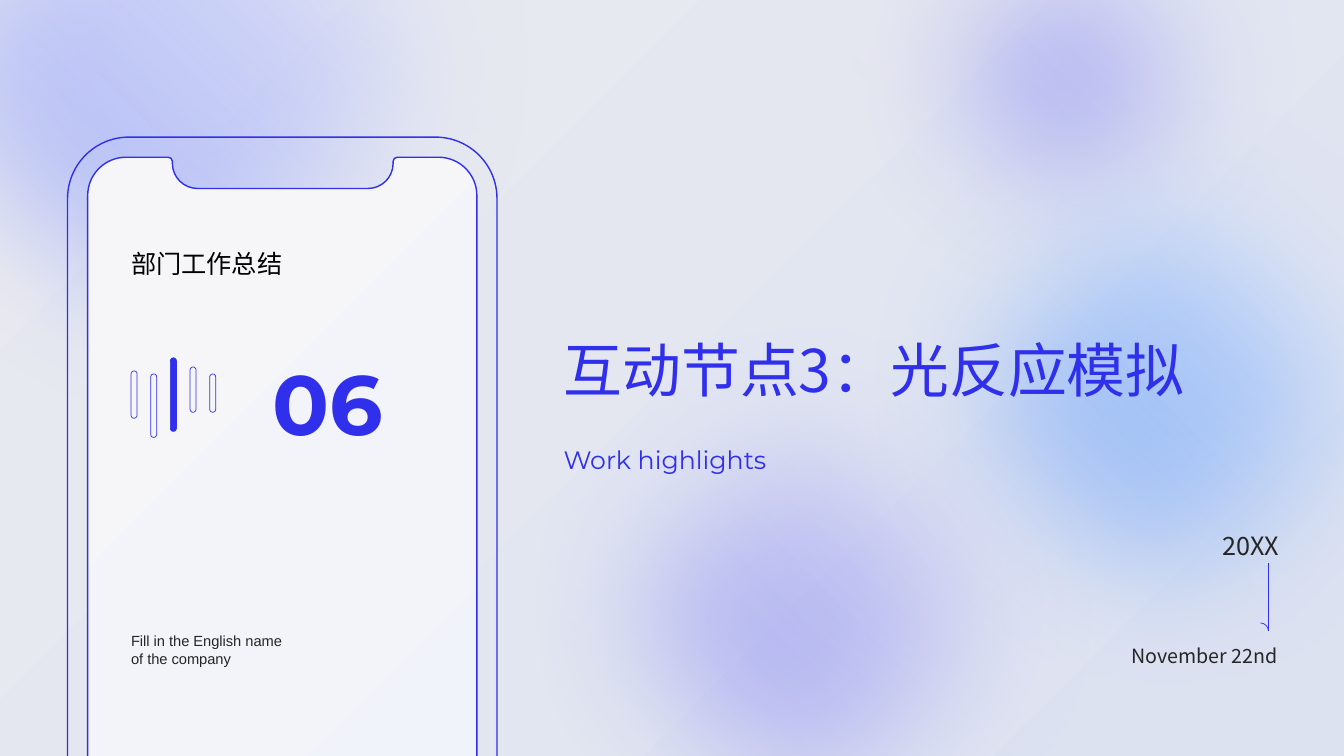
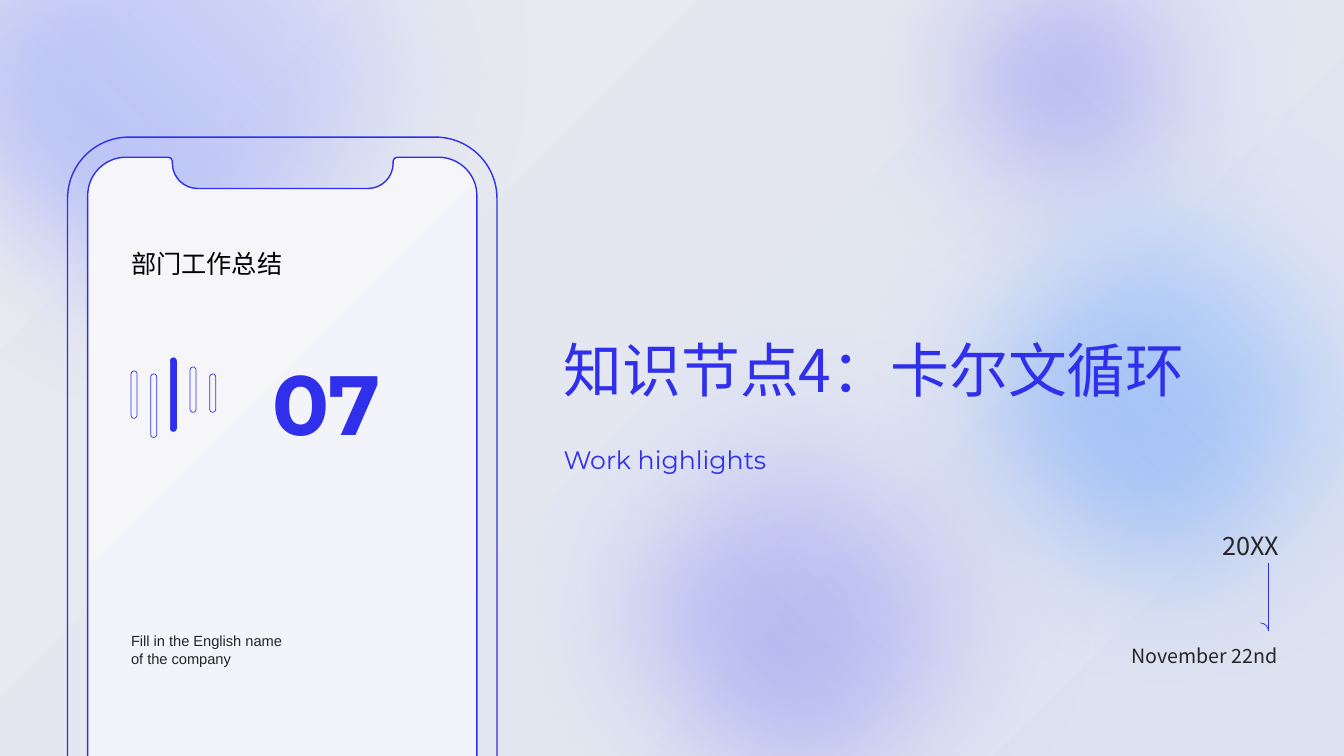
import collections
import dataclasses
import math

import pptx
import pptx.dml.color
import pptx.enum.shapes
import pptx.enum.text
import pptx.oxml
import pptx.oxml.ns
import pptx.util

ALIGN = pptx.enum.text.PP_ALIGN
ANCHOR = pptx.enum.text.MSO_ANCHOR
AUTOSIZE = pptx.enum.text.MSO_AUTO_SIZE
PRESET = pptx.enum.shapes.MSO_SHAPE

Box = collections.namedtuple("Box", "left top width height")
Glow = collections.namedtuple("Glow", "left top size stops")


@dataclasses.dataclass(frozen=True)
class Theme:
    accent: str = "2F2FEC"
    ink: str = "262626"
    black: str = "000000"
    backdrop: tuple = (("EAEBF0", 100), ("DDE2F1", 100))
    screen: tuple = (("F6F6F8", 100), ("F0F3F9", 100))
    cjk: str = "Noto Sans CJK SC"
    display: str = "Montserrat"
    body: str = "Arial"
    title_size: float = 42
    number_size: float = 60
    label_size: float = 18
    date_size: float = 14
    note_size: float = 10.5
    outline: float = 1
    hairline: float = 0.5
    soft_edge: float = 100


THEME = Theme()
SLIDE = Box(0, 0, 13.33, 7.5)
PHONE = Box(0.67, 1.36, 4.26, 8.75)
HEADING = Box(5.59, 1.94, 7, 3.82)
DATE = Box(8.77, 5.26, 3.92, 1.37)

# Colour stops are (colour, opacity in percent)
GLOWS = (
    Glow(4.71, 2.62, 6.74, (("2F2FEC", 55), ("D5D5FB", 25))),
    Glow(7.84, -2.16, 5.7, (("2F2FEC", 55), ("D5D5FB", 43))),
    Glow(8.1, 0.41, 6.94, (("6399F4", 76), ("E0EBFD", 100))),
    Glow(-2.21, -3.37, 7.94, (("8393F7", 100), ("E6E9FD", 37))),
)
SECTIONS = (
    ("06", "互动节点3：光反应模拟"),
    ("07", "知识节点4：卡尔文循环"),
)


def rgb(colour):
    return pptx.dml.color.RGBColor.from_string(colour)


def inches(*lengths):
    return [pptx.util.Inches(length) for length in lengths]


def add_child(parent, tag, **attributes):
    child = pptx.oxml.parse_xml(f"<a:{tag} {pptx.oxml.ns.nsdecls('a')}/>")
    for key, value in attributes.items():
        child.set(key, str(value))
    parent.append(child)
    return child


def fill_gradient(shape, stops, clockwise):
    shape.fill.gradient()
    shape.fill.gradient_angle = (360 - clockwise) % 360
    for stop, (colour, _) in zip(shape.fill.gradient_stops, stops):
        stop.color.rgb = rgb(colour)
    gradient = shape._element.spPr.find(pptx.oxml.ns.qn("a:gradFill"))
    colours = list(gradient.iter(pptx.oxml.ns.qn("a:srgbClr")))
    for element, (_, opacity) in zip(colours, stops):
        if opacity < 100:
            add_child(element, "alpha", val=opacity * 1000)


def draw_line(shape, width):
    shape.line.color.rgb = rgb(THEME.accent)
    shape.line.width = pptx.util.Pt(width)


def add_preset(shapes, preset, box, line=None, fill=None):
    shape = shapes.add_shape(preset, *inches(*box))
    shape.shadow.inherit = False
    if fill:
        shape.fill.solid()
        shape.fill.fore_color.rgb = rgb(fill)
    else:
        shape.fill.background()
    if line:
        draw_line(shape, line)
    else:
        shape.line.fill.background()
    return shape


def write(frame, text, size, font, colour, bold=False, align=ALIGN.LEFT,
          anchor=ANCHOR.TOP, spacing=1.0, wrap=False, grow=False):
    frame.margin_left = frame.margin_top = 0
    frame.margin_right = frame.margin_bottom = 0
    frame.word_wrap = wrap
    frame.auto_size = AUTOSIZE.SHAPE_TO_FIT_TEXT if grow else AUTOSIZE.NONE
    frame.vertical_anchor = anchor
    frame.text = text
    for paragraph in frame.paragraphs:
        paragraph.alignment = align
        paragraph.line_spacing = spacing
        for run in paragraph.runs:
            run.font.size = pptx.util.Pt(size)
            run.font.bold = bold
            run.font.color.rgb = rgb(colour)
            run.font.name = font
            add_child(run.font._element, "ea", typeface=font)


def add_text(slide, box, text, **style):
    write(slide.shapes.add_textbox(*inches(*box)).text_frame, text, **style)


def quarter_turn(x, y, radius, start, end):
    """Return start, two control points and end of a quarter circle."""
    handle = math.copysign(0.5523, end - start)
    for angle, reach in ((start, 0), (start, handle), (end, -handle), (end, 0)):
        cos, sin = math.cos(math.radians(angle)), math.sin(math.radians(angle))
        yield inches(x + radius * (cos - reach * sin),
                     y + radius * (sin + reach * cos))


def add_curve(shapes, arcs, line, close=False):
    """Draw quarter circles (x, y, radius, start, end) joined by straight lines."""
    points = [point for arc in arcs for point in quarter_turn(*arc)]
    builder = shapes.build_freeform(*points[0])
    builder.add_line_segments(points[1:], close=close)
    curve = builder.convert_to_shape()
    curve.shadow.inherit = False
    curve.fill.background()
    draw_line(curve, line)

    outline = next(curve._element.iter(pptx.oxml.ns.qn("a:path")))
    steps = list(outline)
    for index in range(len(arcs)):
        first, second, last = steps[4 * index + 1:4 * index + 4]
        bezier = add_child(outline, "cubicBezTo")
        first.addprevious(bezier)
        for step in (first, second, last):
            bezier.append(step[0])
            outline.remove(step)
    return curve


def add_backdrop(slide):
    backdrop = add_preset(slide.shapes, PRESET.RECTANGLE, SLIDE)
    fill_gradient(backdrop, THEME.backdrop, 45)
    return backdrop


def add_glows(slide):
    for glow in GLOWS:
        box = (glow.left, glow.top, glow.size, glow.size)
        ellipse = add_preset(slide.shapes, PRESET.OVAL, box)
        fill_gradient(ellipse, glow.stops, 315)
        effects = ellipse._element.spPr.find(pptx.oxml.ns.qn("a:effectLst"))
        add_child(effects, "softEdge", rad=pptx.util.Pt(THEME.soft_edge))


def add_screen(shapes, box):
    """Draw the display with its rounded corners and the notch at the top."""
    corner, lip, notch = 0.38, 0.04, 0.25
    left, top = box.left, box.top
    right, bottom = left + box.width, top + box.height
    notch_left, notch_right = left + 0.84, right - 0.83
    arcs = (
        (left + corner, top + corner, corner, 180, 270),
        (notch_left - lip, top + lip, lip, 270, 360),
        (notch_left + notch, top + 0.06, notch, 180, 90),
        (notch_right - notch, top + 0.06, notch, 90, 0),
        (notch_right + lip, top + lip, lip, 180, 270),
        (right - corner, top + corner, corner, 270, 360),
        (right - corner, bottom - corner, corner, 0, 90),
        (left + corner, bottom - corner, corner, 90, 180),
    )
    screen = add_curve(shapes, arcs, THEME.outline, close=True)
    fill_gradient(screen, THEME.screen, 45)


def add_sound_wave(slide, left, top):
    shapes = slide.shapes.add_group_shape().shapes
    bars = ((0.13, 0.47), (0.16, 0.63), (0, 0.73), (0.09, 0.45), (0.16, 0.38))
    for index, (drop, height) in enumerate(bars):
        box = (left + index * 0.195, top + drop, 0.06, height)
        bar = add_preset(shapes, PRESET.ROUNDED_RECTANGLE, box, THEME.hairline,
                         THEME.accent if index == 2 else None)
        bar.adjustments[0] = 0.5


def add_phone(slide, box, number):
    shapes = slide.shapes.add_group_shape().shapes
    case = add_preset(shapes, PRESET.ROUNDED_RECTANGLE, box, THEME.outline)
    case.adjustments[0] = 0.61 / box.width
    bezel = 0.2
    add_screen(shapes, Box(box.left + bezel, box.top + bezel,
                           box.width - 2 * bezel, box.height - 2 * bezel))

    margin = box.left + 0.63
    add_sound_wave(slide, margin, box.top + 2.19)
    add_text(slide, (margin, box.top + 1.03, 1.51, 0.35), "部门工作总结",
             size=THEME.label_size, font=THEME.cjk, colour=THEME.black,
             spacing=1.25, grow=True)
    add_text(slide, (margin, box.top + 4.91, 3.09, 0.35),
             "Fill in the English name\nof the company",
             size=THEME.note_size, font=THEME.body, colour=THEME.ink,
             wrap=True, grow=True)
    add_text(slide, (box.left + 2.03, box.top + 1.93, 1.54, 1.4), number,
             size=THEME.number_size, font=THEME.display, colour=THEME.accent,
             bold=True, anchor=ANCHOR.MIDDLE)


def add_heading(slide, box, heading):
    title = slide.shapes.title
    title.left, title.top, title.width, title.height = inches(
        box.left, box.top, box.width, 2.07)
    write(title.text_frame, heading, size=THEME.title_size, font=THEME.cjk,
          colour=THEME.accent, anchor=ANCHOR.BOTTOM, spacing=1.5)
    slide.shapes._spTree.append(title._element)  # in front of the glows
    add_text(slide, (box.left, box.top + 2.47, 4.45, 1.35), "Work highlights",
             size=THEME.label_size, font=THEME.display, colour=THEME.accent)


def add_date(slide, box):
    right = box.left + box.width
    style = dict(font=THEME.cjk, colour=THEME.ink, align=ALIGN.RIGHT,
                 wrap=True, grow=True)
    add_text(slide, (right - 2.21, box.top, 2.21, 0.3), "20XX",
             size=THEME.label_size, **style)
    add_text(slide, (box.left, box.top + 1.13, 3.9, 0.24), "November 22nd",
             size=THEME.date_size, **style)

    shapes = slide.shapes.add_group_shape().shapes
    x, start, end = right - 0.11, box.top + 0.33, box.top + 1
    stem = shapes.add_connector(pptx.enum.shapes.MSO_CONNECTOR.STRAIGHT,
                                *inches(x, start, x, end))
    draw_line(stem, THEME.hairline)
    add_child(stem._element.spPr, "effectLst")
    barb = 0.08
    add_curve(shapes, [(x - barb, end, barb, 270, 360)], THEME.hairline)


def add_section_slide(deck, number, heading):
    slide = deck.slides.add_slide(deck.slide_layouts[5])
    add_backdrop(slide)
    add_glows(slide)
    add_phone(slide, PHONE, number)
    add_date(slide, DATE)
    add_heading(slide, HEADING, heading)
    return slide


def main():
    deck = pptx.Presentation()
    deck.slide_width, deck.slide_height = inches(SLIDE.width, SLIDE.height)
    for number, heading in SECTIONS:
        slide = add_section_slide(deck, number, heading)
    master_backdrop = add_backdrop(slide)._element
    deck.slide_master.shapes._spTree.insert(2, master_backdrop)
    deck.save("out.pptx")


if __name__ == "__main__":
    main()
